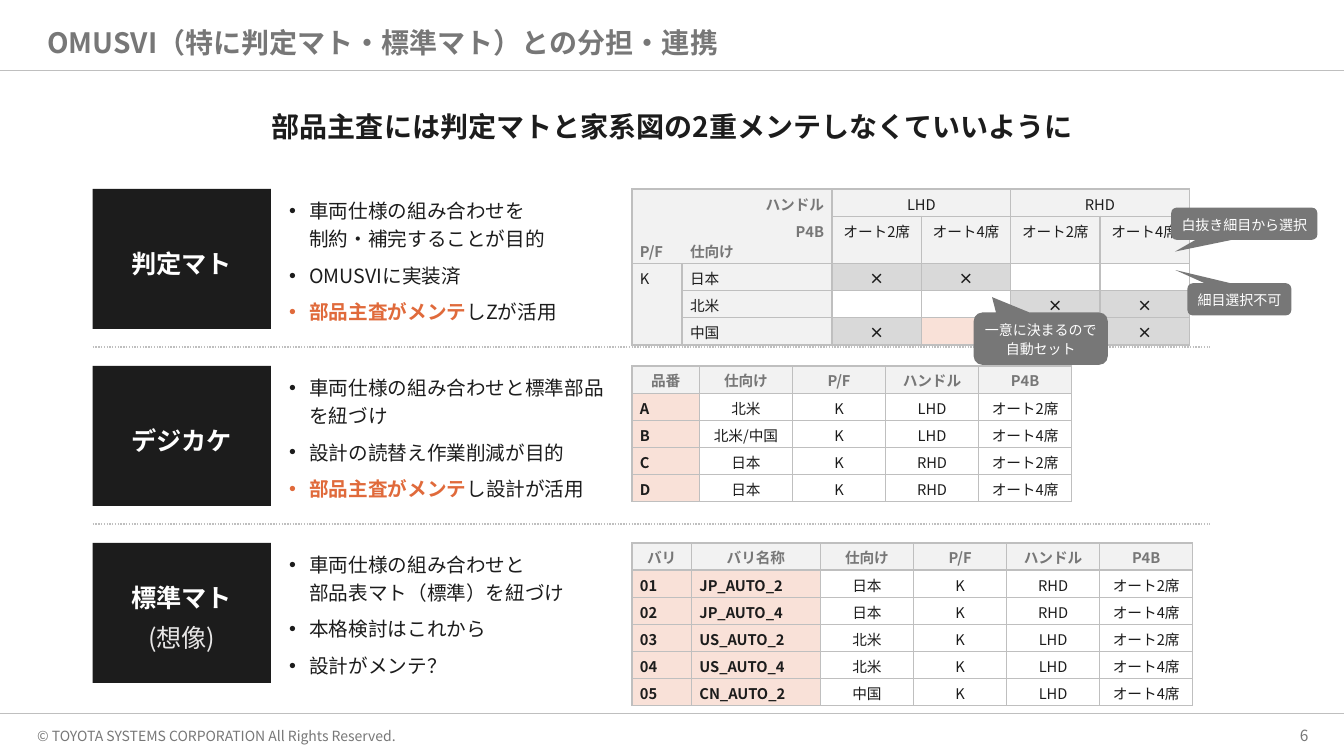
from copy import deepcopy

from lxml.etree import SubElement
from pptx import Presentation
from pptx.dml.color import RGBColor
from pptx.enum.dml import MSO_LINE
from pptx.enum.shapes import MSO_CONNECTOR, MSO_SHAPE
from pptx.enum.text import MSO_ANCHOR, PP_ALIGN
from pptx.oxml.ns import qn
from pptx.util import Pt

FONT = "Noto Sans CJK JP"
BLACK = RGBColor(0x1C, 0x1C, 0x1C)
GRAY = RGBColor(0x77, 0x77, 0x77)
RULE = RGBColor(0xBF, 0xBF, 0xBF)
HEADER = RGBColor(0xF2, 0xF2, 0xF2)
BLOCKED = RGBColor(0xD9, 0xD9, 0xD9)
PINK = RGBColor(0xF9, 0xE1, 0xD8)
ORANGE = RGBColor(0xE0, 0x6A, 0x3B)
PALE = RGBColor(0xE7, 0xE6, 0xE6)
WHITE = RGBColor(0xFF, 0xFF, 0xFF)

LEFT, CENTER, RIGHT = PP_ALIGN.LEFT, PP_ALIGN.CENTER, PP_ALIGN.RIGHT
TABLE_LEFT, ROW_HEIGHT, TABLE_SIZE = 451.4, 19.4, 10.5
SECTION_TOPS = (135, 261.4, 387.8)
SECTION_HEIGHT = 100


def write(paragraph, text, size, color, bold=False):
    """Append text; each newline becomes a line break of the same size."""
    for index, line in enumerate(text.split("\n")):
        if index:
            paragraph.add_line_break()
        run = paragraph.add_run()
        run.text = line
        run.font.size, run.font.bold, run.font.name = Pt(size), bold, FONT
        run.font.color.rgb = color
        properties = run._r.get_or_add_rPr()
        SubElement(properties, qn("a:ea")).set("typeface", FONT)
        if index:
            run._r.getprevious().append(deepcopy(properties))


def add_text(slide, box, text, size, color, bold=False, align=LEFT,
             spacing=1.0, anchor=MSO_ANCHOR.TOP, side=7.2):
    frame = slide.shapes.add_textbox(*map(Pt, box)).text_frame
    frame.word_wrap = True
    frame.vertical_anchor = anchor
    frame.margin_left = frame.margin_right = Pt(side)
    paragraph = frame.paragraphs[0]
    paragraph.alignment, paragraph.line_spacing = align, spacing
    write(paragraph, text, size, color, bold)


def add_rule(slide, left, right, y, dotted=False):
    rule = slide.shapes.add_connector(
        MSO_CONNECTOR.STRAIGHT, Pt(left), Pt(y), Pt(right), Pt(y))
    rule.line.color.rgb, rule.line.width = RULE, Pt(1)
    if dotted:
        rule.line.dash_style = MSO_LINE.ROUND_DOT
    SubElement(rule._element.spPr, qn("a:effectLst"))


def add_panel(slide, kind, box, color, lines, size, spacing):
    """Add a filled shape; lines holds (text, colour, bold) paragraphs."""
    panel = slide.shapes.add_shape(kind, *map(Pt, box))
    panel.shadow.inherit = False
    panel.fill.solid()
    panel.fill.fore_color.rgb = color
    panel.line.fill.background()
    frame = panel.text_frame
    frame.vertical_anchor = MSO_ANCHOR.MIDDLE
    for index, (text, text_color, bold) in enumerate(lines):
        paragraph = frame.add_paragraph() if index else frame.paragraphs[0]
        paragraph.alignment, paragraph.line_spacing = CENTER, spacing
        write(paragraph, text, size, text_color, bold)
    return panel


def add_callout(slide, box, tip, text):
    callout = add_panel(slide, MSO_SHAPE.ROUNDED_RECTANGULAR_CALLOUT, box, GRAY,
                        [(text, WHITE, False)], 10, 1.1)
    callout.adjustments[0], callout.adjustments[1] = tip
    frame = callout.text_frame
    frame.margin_left = frame.margin_right = Pt(5.76)
    frame.word_wrap = False


def add_bullets(slide, top, items):
    """Add bullets; an item is a list of (text, emphasised) pieces."""
    frame = slide.shapes.add_textbox(
        Pt(199.4), Pt(top), Pt(245.5), Pt(SECTION_HEIGHT)).text_frame
    frame.word_wrap = True
    for index, pieces in enumerate(items):
        paragraph = frame.add_paragraph() if index else frame.paragraphs[0]
        properties = paragraph._p.get_or_add_pPr()
        properties.set("marL", str(Pt(14.4)))
        properties.set("indent", str(Pt(-14.4)))
        SubElement(properties, qn("a:buFont")).set("typeface", "Arial")
        SubElement(properties, qn("a:buChar")).set("char", "•")
        paragraph.line_spacing = 1.2
        if index:
            paragraph.space_before = Pt(6)
        for text, emphasised in pieces:
            write(paragraph, text, 14, ORANGE if emphasised else BLACK, emphasised)


def set_borders(cell, sides):
    properties = cell._tc.get_or_add_tcPr()
    for index, side in enumerate("LRTB"):
        border = SubElement(properties, qn(f"a:ln{side}"), w=str(Pt(1)))
        properties.insert(index, border)
        if side in sides:
            fill = SubElement(border, qn("a:solidFill"))
            SubElement(fill, qn("a:srgbClr")).set("val", str(RULE))
        else:
            SubElement(border, qn("a:noFill"))


def fill_cell(cell, text="", color=BLACK, bold=False, align=CENTER,
              fill=None, sides="LRTB"):
    cell.margin_left = cell.margin_right = Pt(5.76)
    cell.margin_top, cell.margin_bottom = Pt(2.88), Pt(1.44)
    if fill is None:
        cell.fill.background()
    else:
        cell.fill.solid()
        cell.fill.fore_color.rgb = fill
    set_borders(cell, sides)
    paragraph = cell.text_frame.paragraphs[0]
    paragraph.alignment = align
    if text:
        write(paragraph, text, TABLE_SIZE, color, bold)
    else:
        SubElement(paragraph._p, qn("a:endParaRPr")).set("sz", str(int(TABLE_SIZE * 100)))


def add_grid(slide, top, widths, heights):
    grid = slide.shapes.add_table(
        len(heights), len(widths), Pt(TABLE_LEFT), Pt(top),
        Pt(sum(widths)), Pt(sum(heights))).table
    grid.first_row = grid.horz_banding = False
    for column, width in zip(grid.columns, widths):
        column.width = Pt(width)
    for row, height in zip(grid.rows, heights):
        row.height = Pt(height)
    return grid


def add_judgement_matrix(slide, top):
    grid = add_grid(slide, top, [35.8, 48.2, 59] + [63.8] * 4,
                    [ROW_HEIGHT, 33.9] + [ROW_HEIGHT] * 3)
    label = dict(color=GRAY, bold=True, fill=HEADER)
    fill_cell(grid.cell(0, 0), "P/F", align=LEFT, sides="LTB", **label)
    fill_cell(grid.cell(0, 1), "仕向け", align=LEFT, sides="TB", **label)
    fill_cell(grid.cell(0, 2), "ハンドル", align=RIGHT, sides="TR", **label)
    fill_cell(grid.cell(1, 0), fill=HEADER, sides="LB")
    fill_cell(grid.cell(1, 1), fill=HEADER, sides="B")
    fill_cell(grid.cell(1, 2), "P4B", align=RIGHT, sides="RB", **label)
    for column, side in enumerate(("LHD", "", "RHD", ""), 3):
        fill_cell(grid.cell(0, column), side, fill=HEADER)
        fill_cell(grid.cell(1, column), f"オート{4 - 2 * (column % 2)}席", fill=HEADER)

    # x = blocked, o = set automatically, . = selectable
    regions = (("日本", "xx.."), ("北米", "..xx"), ("中国", "xoxx"))
    fills = {"x": BLOCKED, "o": PINK, ".": None}
    for row, (region, marks) in enumerate(regions, 2):
        fill_cell(grid.cell(row, 0), "K" if row == 2 else "", align=LEFT, fill=HEADER)
        fill_cell(grid.cell(row, 1), region, align=LEFT, fill=HEADER, sides="LTB")
        fill_cell(grid.cell(row, 2), fill=HEADER, sides="TRB")
        for column, mark in enumerate(marks, 3):
            fill_cell(grid.cell(row, column), "×" if mark == "x" else "",
                      bold=True, fill=fills[mark])
    for start, end in (((0, 0), (1, 0)), ((0, 1), (1, 1)), ((0, 3), (0, 4)),
                       ((0, 5), (0, 6)), ((2, 0), (4, 0))):
        grid.cell(*start).merge(grid.cell(*end))
    for column in (0, 1):
        grid.cell(0, column).vertical_anchor = MSO_ANCHOR.BOTTOM


def add_list_table(slide, top, key_widths, rows):
    """Add a table whose first columns are pink keys and whose first row is a header."""
    keys = len(key_widths)
    grid = add_grid(slide, top, key_widths + [66.5] * 4, [ROW_HEIGHT] * len(rows))
    for r, values in enumerate(rows):
        for c, value in enumerate(values):
            if r == 0:
                style = dict(color=GRAY, bold=True, fill=HEADER)
            elif c < keys:
                style = dict(bold=True, align=LEFT, fill=PINK)
            else:
                style = {}
            fill_cell(grid.cell(r, c), value, **style)


def main():
    deck = Presentation()
    deck.slide_width, deck.slide_height = Pt(960), Pt(540)
    slide = deck.slides.add_slide(deck.slide_layouts[6])

    add_text(slide, (26.6, 516.2, 287.3, 19.4),
             "© TOYOTA SYSTEMS CORPORATION All Rights Reserved.", 10, GRAY, side=0)
    for y in (50.4, 509.8):
        add_rule(slide, 0, 960, y)
    add_text(slide, (26.6, 16.6, 907.2, 29.5), "OMUSVI（特に判定マト・標準マト）との分担・連携",
             20, GRAY, True, spacing=0.9, anchor=MSO_ANCHOR.MIDDLE)
    add_text(slide, (66.2, 67.7, 828, 45.4), "部品主査には判定マトと家系図の2重メンテしなくていいように",
             20, BLACK, True, CENTER, 1.3)

    attributes = ("仕向け", "P/F", "ハンドル", "P4B")
    add_judgement_matrix(slide, SECTION_TOPS[0])
    add_list_table(slide, SECTION_TOPS[1], [48.2], [
        ("品番", *attributes),
        ("A", "北米", "K", "LHD", "オート2席"),
        ("B", "北米/中国", "K", "LHD", "オート4席"),
        ("C", "日本", "K", "RHD", "オート2席"),
        ("D", "日本", "K", "RHD", "オート4席")])
    add_list_table(slide, SECTION_TOPS[2], [42.5, 92.2], [
        ("バリ", "バリ名称", *attributes),
        ("01", "JP_AUTO_2", "日本", "K", "RHD", "オート2席"),
        ("02", "JP_AUTO_4", "日本", "K", "RHD", "オート4席"),
        ("03", "US_AUTO_2", "北米", "K", "LHD", "オート2席"),
        ("04", "US_AUTO_4", "北米", "K", "LHD", "オート4席"),
        ("05", "CN_AUTO_2", "中国", "K", "LHD", "オート4席")])

    maintainer = ("部品主査がメンテ", True)
    sections = (
        ([("判定マト", WHITE, True)],
         [[("車両仕様の組み合わせを\n制約・補完することが目的", False)],
          [("OMUSVIに実装済", False)], [maintainer, ("しZが活用", False)]]),
        ([("デジカケ", WHITE, True)],
         [[("車両仕様の組み合わせと標準部品を紐づけ", False)],
          [("設計の読替え作業削減が目的", False)], [maintainer, ("し設計が活用", False)]]),
        ([("標準マト", WHITE, True), ("(想像)", PALE, False)],
         [[("車両仕様の組み合わせと\n部品表マト（標準）を紐づけ", False)],
          [("本格検討はこれから", False)], [("設計がメンテ？", False)]]))
    for top, (heading, bullets) in zip(SECTION_TOPS, sections):
        add_bullets(slide, top, bullets)
        add_panel(slide, MSO_SHAPE.RECTANGLE, (66.2, top, 127.4, SECTION_HEIGHT),
                  BLACK, heading, 18, 1.3)
    for top in SECTION_TOPS[1:]:
        add_rule(slide, 66.2, 864, top - 13.4, dotted=True)

    add_callout(slide, (848.2, 202.3, 74.2, 23), (-0.617, -0.911), "細目選択不可")
    add_callout(slide, (695.5, 223.2, 95.8, 37.4), (-0.363, -0.794), "一意に決まるので\n自動セット")
    add_callout(slide, (836.6, 148.3, 104.4, 23), (-0.474, 0.866), "白抜き細目から選択")
    add_text(slide, (718.6, 514.8, 216, 20.9), "6", 11, GRAY, align=RIGHT,
             anchor=MSO_ANCHOR.BOTTOM, side=0)
    deck.save("out.pptx")


if __name__ == "__main__":
    main()
